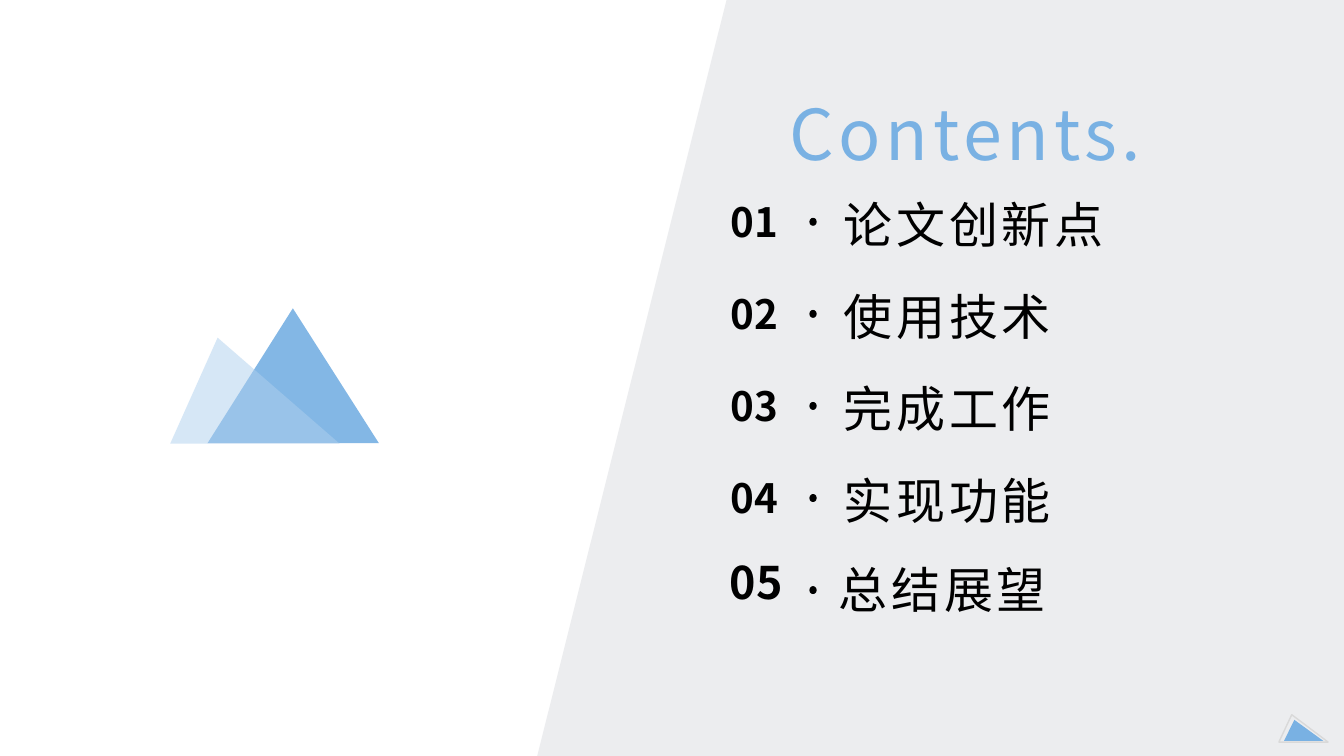
import dataclasses
import pptx
import pptx.util
import pptx.dml.color
import pptx.enum.shapes
import pptx.enum.text
from lxml import etree
from pptx.oxml.ns import qn

Cm = pptx.util.Cm
Pt = pptx.util.Pt
Kind = pptx.enum.shapes.MSO_SHAPE
Align = pptx.enum.text.PP_ALIGN
Anchor = pptx.enum.text.MSO_ANCHOR


@dataclasses.dataclass(frozen=True)
class Theme:
    font: str = "Noto Sans CJK SC"
    ink: str = "000000"
    panel: str = "ECEDEF"
    accent: str = "79B1E3"
    peak: str = "3187D4"
    hill: str = "AFD0EE"
    edge: str = "D9D9D9"
    title: float = 50
    topic: float = 35
    number: float = 28.8
    last: float = 32


theme = Theme()


def write(para, text, size, color=theme.ink, bold=False, gap=0, align=Align.LEFT, line=0.9):
    """Add a run; gap is the letter spacing in points."""
    para.alignment = align
    para.line_spacing = line
    para.space_before = Pt(0)
    run = para.add_run()
    run.text = text
    run.font.name = theme.font
    run.font.size = Pt(size)
    run.font.bold = bold
    run.font.color.rgb = pptx.dml.color.RGBColor.from_string(color)
    props = run._r.get_or_add_rPr()
    props.set("spc", str(round(gap * 100)))
    etree.SubElement(props, qn("a:ea")).set("typeface", theme.font)


def paint(shape, fill=None, line=None, alpha=100):
    shape.shadow.inherit = False
    if fill:
        shape.fill.solid()
        shape.fill.fore_color.rgb = pptx.dml.color.RGBColor.from_string(fill)
        if alpha < 100:
            tint = shape.element.spPr.find(qn("a:solidFill"))[0]
            etree.SubElement(tint, qn("a:alpha")).set("val", str(alpha * 1000))
    else:
        shape.fill.background()
    if line:
        shape.line.color.rgb = pptx.dml.color.RGBColor.from_string(line)
        shape.line.width = Pt(1)
    else:
        shape.line.fill.background()


deck = pptx.Presentation()
deck.slide_width = Cm(33.87)
deck.slide_height = Cm(19.05)
slide = deck.slides.add_slide(deck.slide_layouts[1])
shapes = slide.shapes
title, body = slide.placeholders

# Slanted panel
edge = [(18.31, 0), (33.87, 0), (33.87, 19.05), (13.54, 19.05)]
points = [(Cm(x), Cm(y)) for x, y in edge]
pen = shapes.build_freeform(*points[0], scale=1.0)
pen.add_line_segments(points[1:], close=True)
paint(pen.convert_to_shape(), fill=theme.panel)

# Mountains and corner mark
marks = [
    ((5.23, 7.77, 4.32, 3.4), 0.498, dict(fill=theme.peak, alpha=60)),
    ((4.29, 8.51, 4.27, 2.67), 0.28, dict(fill=theme.hill, alpha=50)),
    ((32.23, 18.01, 1.24, 0.69), 0.262, dict(line=theme.edge)),
    ((32.36, 18.14, 0.99, 0.53), 0.262, dict(fill=theme.accent)),
]
for box, tip, look in marks:
    mark = shapes.add_shape(Kind.ISOSCELES_TRIANGLE, *map(Cm, box))
    mark.adjustments[0] = tip
    paint(mark, **look)

# Placeholders go in front of the panel
frames = [
    (title, (17.35, 1.42, 13.97, 2.97), Anchor.BOTTOM),
    (body, (21.13, 4.06, 9.5, 11.6), Anchor.TOP),
]
for holder, box, anchor in frames:
    shapes._spTree.append(holder.element)
    holder.left, holder.top, holder.width, holder.height = map(Cm, box)
    frame = holder.text_frame
    frame.auto_size = pptx.enum.text.MSO_AUTO_SIZE.NONE
    frame.word_wrap = True
    frame.vertical_anchor = anchor
    frame.margin_left = frame.margin_right = 0
    frame.margin_top = frame.margin_bottom = 0

write(title.text_frame.paragraphs[0], "Contents.", theme.title,
      color=theme.accent, gap=3.4, align=Align.CENTER, line=1.0)

# Topics: text, indent in cm, line pitch in points, number left, top and size
pitch = 2.32
topics = ["论文创新点", "使用技术", "完成工作", "实现功能", "总结展望"]
rows = [(text, 0.13, 65.7, 18.16, 4.98 + pitch * i, theme.number)
        for i, text in enumerate(topics[:-1])]
rows.append((topics[-1], 0, 63.7, 18.14, 14, theme.last))

for i, (text, indent, line, left, top, size) in enumerate(rows):
    frame = body.text_frame
    para = frame.add_paragraph() if i else frame.paragraphs[0]
    write(para, text, theme.topic, gap=2.7, line=Pt(line))
    props = para._p.get_or_add_pPr()
    props.set("marL", str(Cm(indent)))
    props.set("indent", "0")
    etree.SubElement(props, qn("a:buNone"))

    label = shapes.add_textbox(Cm(left), Cm(top), Cm(1.96), Cm(1.52))
    label.text_frame.word_wrap = True
    write(label.text_frame.paragraphs[0], f"{i + 1:02}", size, bold=True)

    dot = shapes.add_shape(Kind.ROUNDED_RECTANGLE, Cm(20.4), Cm(5.49 + pitch * i),
                           Cm(0.18), Cm(0.2))
    dot.adjustments[0] = 0.5
    paint(dot, fill=theme.ink)

deck.save("out.pptx")
